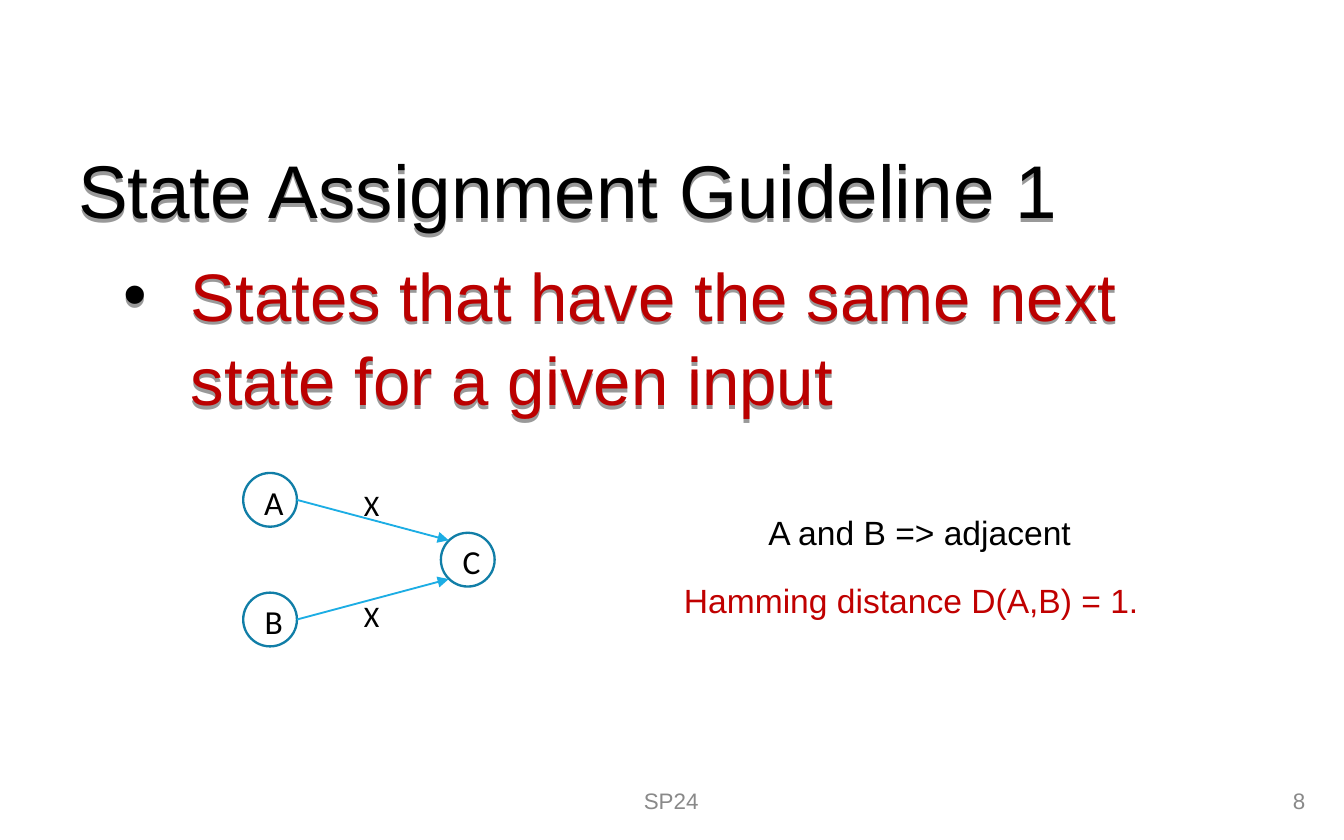
from dataclasses import dataclass

from lxml import etree
from pptx import Presentation
from pptx.dml.color import RGBColor
from pptx.enum import shapes, text
from pptx.oxml import ns
from pptx.util import Pt

COLORS = {
    "black": "000000",
    "red": "BB0000",
    "dark_red": "C00000",
    "grey": "898989",
    "outline": "117EA7",
    "arrow": "1CADE4",
}
LEFT, CENTER, RIGHT = text.PP_ALIGN.LEFT, text.PP_ALIGN.CENTER, text.PP_ALIGN.RIGHT
TOP, MIDDLE = text.MSO_ANCHOR.TOP, text.MSO_ANCHOR.MIDDLE
NODE_SIZE = 28.8


@dataclass(frozen=True)
class Label:
    words: str
    left: float
    top: float
    width: float
    height: float
    size: float = 18
    color: str = "black"
    font: str = "Arial"
    align: text.PP_ALIGN = LEFT
    anchor: text.MSO_ANCHOR = TOP
    wrap: bool = False


@dataclass(frozen=True)
class State:
    name: str
    left: float
    top: float

    @property
    def middle(self) -> float:
        return self.top + NODE_SIZE / 2


def rgb(name: str) -> RGBColor:
    return RGBColor.from_string(COLORS[name])


def write(paragraph, words: str, size: float, color: str, font: str) -> None:
    run = paragraph.add_run()
    run.text = words
    run.font.size = Pt(size)
    run.font.name = font
    run.font.color.rgb = rgb(color)


def place(shape, left: float, top: float, width: float, height: float) -> None:
    shape.left, shape.top = Pt(left), Pt(top)
    shape.width, shape.height = Pt(width), Pt(height)


def add_text_shadow(shape) -> None:
    """Give an unfilled shape a drop shadow, which falls from its text."""
    shape.fill.background()
    effects = etree.SubElement(shape._element.spPr, ns.qn("a:effectLst"))
    shadow = etree.SubElement(effects, ns.qn("a:outerShdw"),
                              dist=str(Pt(2)), dir="5400000", algn="t", rotWithShape="0")
    color = etree.SubElement(shadow, ns.qn("a:srgbClr"), val=COLORS["black"])
    etree.SubElement(color, ns.qn("a:alpha"), val="40000")


def add_label(slide, label: Label) -> None:
    box = slide.shapes.add_textbox(Pt(label.left), Pt(label.top),
                                   Pt(label.width), Pt(label.height))
    frame = box.text_frame
    frame.word_wrap = label.wrap
    frame.vertical_anchor = label.anchor
    paragraph = frame.paragraphs[0]
    paragraph.alignment = label.align
    write(paragraph, label.words, label.size, label.color, label.font)


def add_state(slide, state: State) -> None:
    circle = slide.shapes.add_shape(shapes.MSO_SHAPE.OVAL, Pt(state.left), Pt(state.top),
                                    Pt(NODE_SIZE), Pt(NODE_SIZE))
    circle.shadow.inherit = False
    circle.fill.background()
    circle.line.color.rgb = rgb("outline")
    circle.line.width = Pt(1.25)
    frame = circle.text_frame
    frame.word_wrap = False
    frame.vertical_anchor = MIDDLE
    frame.margin_left, frame.margin_right = Pt(4), Pt(0)
    frame.margin_top, frame.margin_bottom = Pt(2), Pt(0)
    paragraph = frame.paragraphs[0]
    paragraph.alignment = CENTER
    write(paragraph, state.name, 18, "black", "Calibri")


def add_transition(slide, source: State, end_x: float, end_y: float) -> None:
    arrow = slide.shapes.add_connector(shapes.MSO_CONNECTOR.STRAIGHT,
                                       Pt(source.left + NODE_SIZE), Pt(source.middle),
                                       Pt(end_x), Pt(end_y))
    arrow.line.color.rgb = rgb("arrow")
    arrow.line.width = Pt(1)
    etree.SubElement(arrow.line._get_or_add_ln(), ns.qn("a:tailEnd"), type="triangle")
    etree.SubElement(arrow._element.spPr, ns.qn("a:effectLst"))


def add_title(slide) -> None:
    title = slide.shapes.title
    place(title, 34.6, 69.1, 653, 51.1)
    add_text_shadow(title)
    frame = title.text_frame
    frame.auto_size = text.MSO_AUTO_SIZE.NONE
    frame.vertical_anchor = TOP
    frame.margin_top, frame.margin_bottom = Pt(8), Pt(0)
    paragraph = frame.paragraphs[0]
    paragraph.alignment = LEFT
    write(paragraph, "State Assignment Guideline 1", 40, "black", "Arial")


def add_body(slide) -> None:
    body = slide.placeholders[1]
    place(body, 59, 130.3, 628.6, 277.2)
    add_text_shadow(body)
    body.text_frame.auto_size = text.MSO_AUTO_SIZE.NONE
    paragraph = body.text_frame.paragraphs[0]
    paragraph.space_before = Pt(9)
    paragraph.line_spacing = 1.05
    properties = paragraph._p.get_or_add_pPr()
    properties.set("marL", str(Pt(36)))
    properties.set("indent", str(Pt(-36)))
    bullet_color = etree.SubElement(properties, ns.qn("a:buClr"))
    etree.SubElement(bullet_color, ns.qn("a:srgbClr"), val=COLORS["black"])
    etree.SubElement(properties, ns.qn("a:buFont"), typeface="Arial")
    etree.SubElement(properties, ns.qn("a:buChar"), char="•")
    write(paragraph, "States that have the same next state for a given input",
          36, "red", "Arial")


def main() -> None:
    presentation = Presentation()
    presentation.slide_width, presentation.slide_height = Pt(720), Pt(450)
    slide = presentation.slides.add_slide(presentation.slide_layouts[1])

    # Title and guideline
    add_title(slide)
    add_body(slide)

    # Footer, conclusions and input labels
    labels = [
        Label("SP24", 238.3, 416.9, 242.6, 23.8, 12, "grey",
              align=CENTER, anchor=MIDDLE, wrap=True),
        Label("8", 544.3, 416.9, 162, 23.8, 12, "grey",
              align=RIGHT, anchor=MIDDLE, wrap=True),
        Label("A and B => adjacent", 404.6, 270.7, 177.8, 28.8),
        Label("Hamming distance D(A,B) = 1.", 359.3, 307.4, 265.7, 28.8, color="dark_red"),
        Label("X", 187.9, 257, 25.2, 26.6, 16, font="Calibri"),
        Label("X", 187.9, 316.8, 25.2, 26.6, 16, font="Calibri"),
    ]
    for label in labels:
        add_label(slide, label)

    # State diagram: A and B both lead to C
    state_a = State("A", 130.3, 253.4)
    state_b = State("B", 130.3, 317.5)
    state_c = State("C", 236.2, (state_a.top + state_b.top) / 2)
    for state in (state_a, state_b, state_c):
        add_state(slide, state)
    for source, side in ((state_a, -1), (state_b, 1)):
        add_transition(slide, source, 240.4, state_c.middle + side * 10.4)

    presentation.save("out.pptx")


if __name__ == "__main__":
    main()
